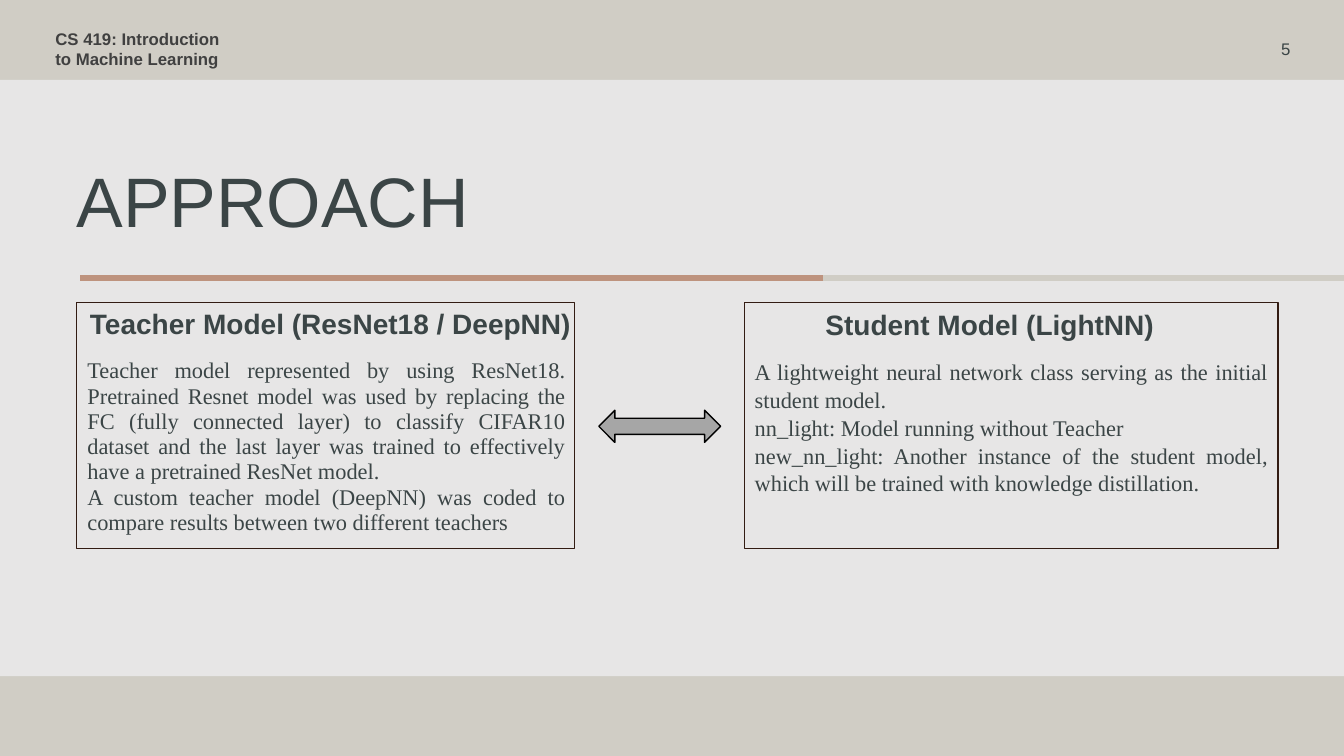
from pptx import Presentation
from pptx.dml.color import RGBColor
from pptx.enum.shapes import MSO_CONNECTOR, MSO_SHAPE
from pptx.enum.text import MSO_ANCHOR, PP_ALIGN
from pptx.util import Pt
from lxml import etree

COLORS = {"sand": "D0CDC5", "panel": "E7E6E6", "clay": "BE937E", "slate": "3B4546",
          "header": "404040", "frame": "331C13", "arrow": "A6A6A6", "black": "000000"}
A = "http://schemas.openxmlformats.org/drawingml/2006/main"

prs = Presentation()
prs.slide_width, prs.slide_height = Pt(960), Pt(540)
s = prs.slides.add_slide(prs.slide_layouts[6])
s.background.fill.solid()
s.background.fill.fore_color.rgb = RGBColor.from_string(COLORS["sand"])


def add_box(kind, box, fill=None, line=None):
    sp = s.shapes.add_shape(kind, *map(Pt, box))
    sp.shadow.inherit = False
    if fill:
        sp.fill.solid()
        sp.fill.fore_color.rgb = RGBColor.from_string(COLORS[fill])
    else:
        sp.fill.background()
    if line:
        sp.line.color.rgb = RGBColor.from_string(COLORS[line])
        sp.line.width = Pt(1)
    else:
        sp.line.fill.background()


def add_text(box, text, size, font="Arial", color="slate", bold=False,
             align=PP_ALIGN.LEFT, anchor=MSO_ANCHOR.TOP, spacing=None, top=3.6):
    tf = s.shapes.add_textbox(*map(Pt, box)).text_frame
    tf.word_wrap = True
    tf.vertical_anchor = anchor
    tf.margin_top = Pt(top)
    tf.text = text
    for p in tf.paragraphs:
        p.alignment = align
        p.line_spacing = spacing
        for r in p.runs:
            r.font.name, r.font.size, r.font.bold = font, Pt(size), bold
            r.font.color.rgb = RGBColor.from_string(COLORS[color])


add_box(MSO_SHAPE.RECTANGLE, (0, 57, 960, 426), fill="panel")

for start, end, color in [(961, 587, "sand"), (588, 57.5, "clay")]:
    rule = s.shapes.add_connector(MSO_CONNECTOR.STRAIGHT, Pt(start), Pt(198.5), Pt(end), Pt(198.5))
    rule.line.color.rgb = RGBColor.from_string(COLORS[color])
    rule.line.width = Pt(4.5)
    etree.SubElement(rule._element.spPr, f"{{{A}}}effectLst")

add_text((47.5, 115, 828, 45.5), "APPROACH", 50, spacing=0.8, top=9.4)
add_text((32.5, 23.8, 144, 21.6), "CS 419: Introduction to Machine Learning", 12,
         color="header", bold=True, anchor=MSO_ANCHOR.MIDDLE)
add_text((797, 23.8, 131.8, 21.6), "5", 12, align=PP_ALIGN.RIGHT, anchor=MSO_ANCHOR.MIDDLE)

teacher = ("Teacher model represented by using ResNet18. Pretrained Resnet model was used by "
           "replacing the FC (fully connected layer) to classify CIFAR10 dataset and the last "
           "layer was trained to effectively have a pretrained ResNet model.\n"
           "A custom teacher model (DeepNN) was coded to compare results between two different "
           "teachers")
student = ("A lightweight neural network class serving as the initial student model.\n"
           "nn_light: Model running without Teacher\n"
           "new_nn_light: Another instance of the student model, which will be trained with "
           "knowledge distillation.")

models = [
    ("Teacher Model (ResNet18 / DeepNN)", (55.4, 215.3, 361.4, 38.9),
     teacher, (55.4, 252.7, 355.7, 138.2), 0.94, (54.7, 216, 355.7, 175.7)),
    ("Student Model (LightNN)", (576, 216, 262, 38.9),
     student, (532, 251.3, 380.9, 66.2), 1.04, (532, 216, 380.9, 175.7)),
]
for title, title_box, body, body_box, spacing, frame in models:
    add_text(title_box, title, 20, bold=True, align=PP_ALIGN.CENTER)
    add_text(body_box, body, 16, font="Times New Roman", align=PP_ALIGN.JUSTIFY, spacing=spacing)
    add_box(MSO_SHAPE.RECTANGLE, frame, line="frame")

add_box(MSO_SHAPE.LEFT_RIGHT_ARROW, (427.7, 293, 87.1, 23), fill="arrow", line="black")

prs.save("out.pptx")
